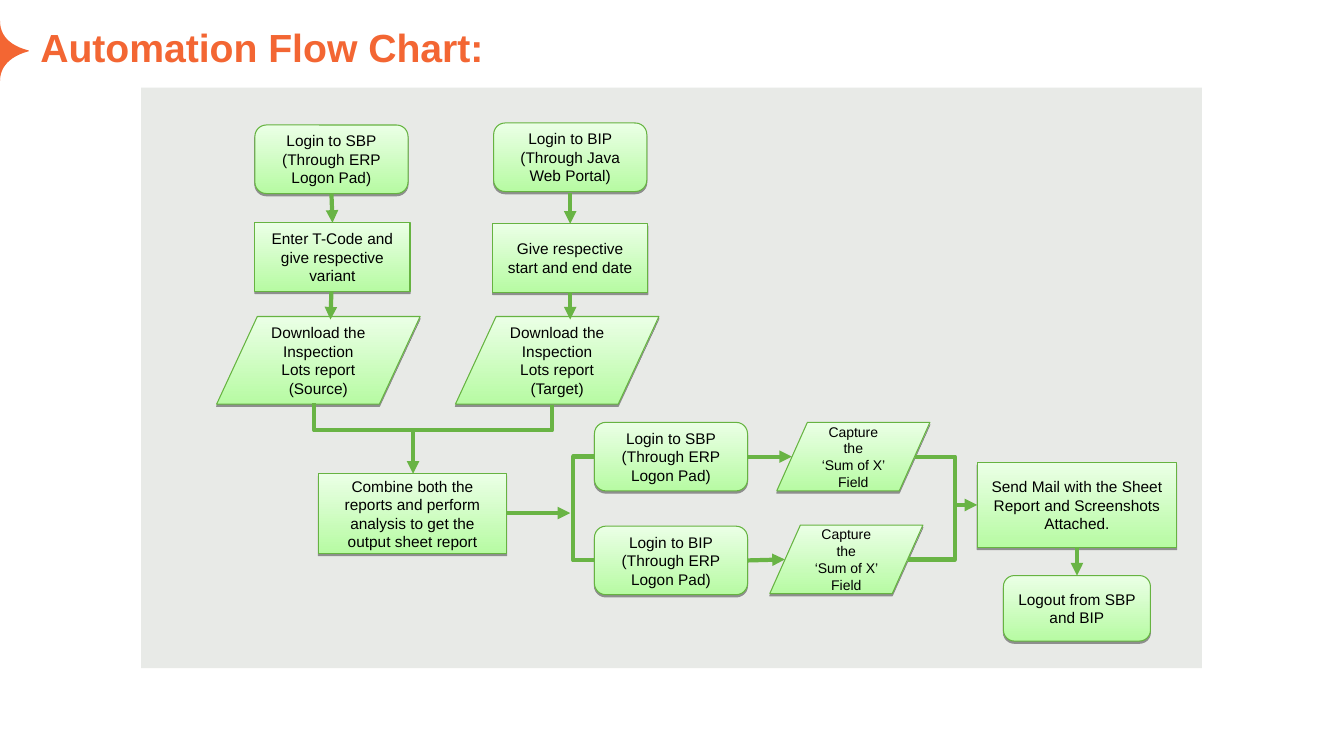
from lxml.etree import SubElement
from pptx import Presentation
from pptx.dml.color import RGBColor
from pptx.enum.shapes import MSO_CONNECTOR, MSO_SHAPE
from pptx.enum.text import MSO_ANCHOR, PP_ALIGN
from pptx.oxml.ns import qn
from pptx.util import Inches, Pt

COLORS = {
    "accent": "F36633", "panel": "E8EAE7", "box_bottom": "B7FBA3", "box_top": "EBFFE6",
    "outline": "66B341", "arrow": "69B445", "text": "000000",
}
FONT = "Arial"
TITLE = "Automation Flow Chart:"

TERMINAL = MSO_SHAPE.FLOWCHART_ALTERNATE_PROCESS
PROCESS = MSO_SHAPE.FLOWCHART_PROCESS
DATA = MSO_SHAPE.FLOWCHART_DATA

LOGIN_SIZE = (1.52, 0.68)
STEP_SIZE = (1.54, 0.68)
DOWNLOAD_SIZE = (2.02, 0.87)

# kind, (left, top), (width, height), text size, lines
BOXES = [
    (TERMINAL, (2.53, 1.24), LOGIN_SIZE, 11, ["Login to SBP (Through ERP Logon Pad)"]),
    (TERMINAL, (4.9, 1.22), LOGIN_SIZE, 11, ["Login to BIP (Through Java Web Portal)"]),
    (PROCESS, (2.53, 2.21), STEP_SIZE, 11, ["Enter T-Code and give respective variant"]),
    (PROCESS, (4.89, 2.22), STEP_SIZE, 11, ["Give respective start and end date"]),
    (DATA, (2.15, 3.14), DOWNLOAD_SIZE, 11, ["Download the Inspection Lots report (Source)"]),
    (DATA, (4.52, 3.14), DOWNLOAD_SIZE, 11, ["Download the Inspection Lots report (Target)"]),
    (PROCESS, (3.16, 4.7), (1.87, 0.79), 11,
     ["Combine both the reports and perform analysis to get the output sheet report"]),
    (TERMINAL, (5.9, 4.19), LOGIN_SIZE, 11, ["Login to SBP (Through ERP Logon Pad)"]),
    (TERMINAL, (5.9, 5.22), LOGIN_SIZE, 11, ["Login to BIP (Through ERP Logon Pad)"]),
    (DATA, (7.71, 4.19), LOGIN_SIZE, 10, ["Capture the", "‘Sum of X’ Field"]),
    (DATA, (7.64, 5.21), LOGIN_SIZE, 10, ["Capture the", "‘Sum of X’ Field"]),
    (PROCESS, (9.7, 4.59), (1.98, 0.84), 11,
     ["Send Mail with the Sheet Report and Screenshots Attached."]),
    (TERMINAL, (9.96, 5.71), (1.46, 0.65), 11, ["Logout from SBP and BIP"]),
]
BRACKETS = [
    [(3.12, 4.0), (3.12, 4.27), (5.48, 4.27), (5.48, 4.02)],
    [(5.9, 4.53), (5.69, 4.53), (5.69, 5.56), (5.9, 5.56)],
    [(9.08, 4.53), (9.48, 4.53), (9.48, 5.55), (9.01, 5.55)],
]
ARROWS = [
    ((3.29, 1.92), (3.3, 2.21)), ((3.29, 2.89), (3.28, 3.17)),
    ((5.66, 1.91), (5.66, 2.22)), ((5.66, 2.9), (5.66, 3.17)),
    ((4.1, 4.28), (4.1, 4.7)), ((5.03, 5.09), (5.66, 5.09)),
    ((7.42, 4.53), (7.86, 4.53)), ((7.42, 5.56), (7.79, 5.55)),
    ((9.48, 5.01), (9.7, 5.01)), ((10.69, 5.43), (10.69, 5.71)),
]
PANEL = (1.4, 0.87, 10.53, 5.76)
STAR_CURVES = [
    [(0, 0.2), (0, 0.36), (0.1, 0.45), (0.28, 0.5)],
    [(0.28, 0.5), (0.29, 0.5), (0.29, 0.51), (0.28, 0.51)],
    [(0.28, 0.51), (0.1, 0.56), (0, 0.66), (0, 0.81)],
]
CURVE_STEPS = 12


def color(name):
    return RGBColor.from_string(COLORS[name])


def curve_points(curve):
    """Points along one cubic Bezier curve."""
    weights = (1, 3, 3, 1)
    steps = [step / CURVE_STEPS for step in range(CURVE_STEPS + 1)]
    return [
        tuple(sum(weight * (1 - t) ** (3 - i) * t ** i * point[axis]
                  for i, (weight, point) in enumerate(zip(weights, curve)))
              for axis in (0, 1))
        for t in steps
    ]


def add_outline(slide, points, close):
    scaled = [(Inches(x), Inches(y)) for x, y in points]
    builder = slide.shapes.build_freeform(*scaled[0])
    builder.add_line_segments(scaled[1:], close=close)
    shape = builder.convert_to_shape()
    shape.shadow.inherit = False
    return shape


def fill_plain(shape, name):
    shape.fill.solid()
    shape.fill.fore_color.rgb = color(name)
    shape.line.fill.background()


def style_line(line, name, width):
    line.color.rgb = color(name)
    line.width = Pt(width)


def add_run(paragraph, text, size, name, bold=False):
    run = paragraph.add_run()
    run.text = text
    run.font.name = FONT
    run.font.size = Pt(size)
    run.font.bold = bold
    run.font.color.rgb = color(name)


def add_drop_shadow(shape):
    shape.shadow.inherit = False
    effects = shape._element.spPr.find(qn("a:effectLst"))
    shadow = SubElement(effects, qn("a:outerShdw"), blurRad="0", dist=str(Pt(1.6)),
                        dir="5400000", rotWithShape="0")
    shade = SubElement(shadow, qn("a:srgbClr"), val=COLORS["text"])
    SubElement(shade, qn("a:alpha"), val="38000")


def add_box(slide, kind, position, size, text_size, lines):
    shape = slide.shapes.add_shape(kind, *map(Inches, position + size))
    shape.fill.gradient()
    shape.fill.gradient_angle = 90
    for stop, name in zip(shape.fill.gradient_stops, ("box_bottom", "box_top")):
        stop.color.rgb = color(name)
    style_line(shape.line, "outline", 0.75)
    add_drop_shadow(shape)
    frame = shape.text_frame
    frame.word_wrap = True
    frame.vertical_anchor = MSO_ANCHOR.MIDDLE
    paragraph = frame.paragraphs[0]
    paragraph.alignment = PP_ALIGN.CENTER
    for index, line in enumerate(lines):
        if index:
            paragraph.add_line_break()
        add_run(paragraph, line, text_size, "text")


def add_arrow(slide, start, end):
    arrow = slide.shapes.add_connector(MSO_CONNECTOR.STRAIGHT, *map(Inches, start + end))
    style_line(arrow.line, "arrow", 3)
    SubElement(arrow.line._get_or_add_ln(), qn("a:tailEnd"), type="triangle")
    SubElement(arrow._element.spPr, qn("a:effectLst"))


def add_title(slide):
    box = slide.shapes.add_textbox(Inches(0.4), Inches(0.23), Inches(12.5), Inches(0.47))
    frame = box.text_frame
    frame.word_wrap = True
    frame.vertical_anchor = MSO_ANCHOR.BOTTOM
    frame.margin_left = frame.margin_right = frame.margin_top = frame.margin_bottom = 0
    add_run(frame.paragraphs[0], TITLE, 28, "accent", bold=True)


def main():
    presentation = Presentation()
    presentation.slide_width = Inches(13.34)
    presentation.slide_height = Inches(7.5)
    slide = presentation.slides.add_slide(presentation.slide_layouts[6])

    star_points = [point for curve in STAR_CURVES for point in curve_points(curve)]
    fill_plain(add_outline(slide, star_points, close=True), "accent")
    add_title(slide)
    panel = slide.shapes.add_shape(MSO_SHAPE.RECTANGLE, *map(Inches, PANEL))
    panel.shadow.inherit = False
    fill_plain(panel, "panel")

    for box in BOXES:
        add_box(slide, *box)
    for points in BRACKETS:
        bracket = add_outline(slide, points, close=False)
        bracket.fill.background()
        style_line(bracket.line, "arrow", 3)
    for start, end in ARROWS:
        add_arrow(slide, start, end)

    presentation.save("out.pptx")


if __name__ == "__main__":
    main()
